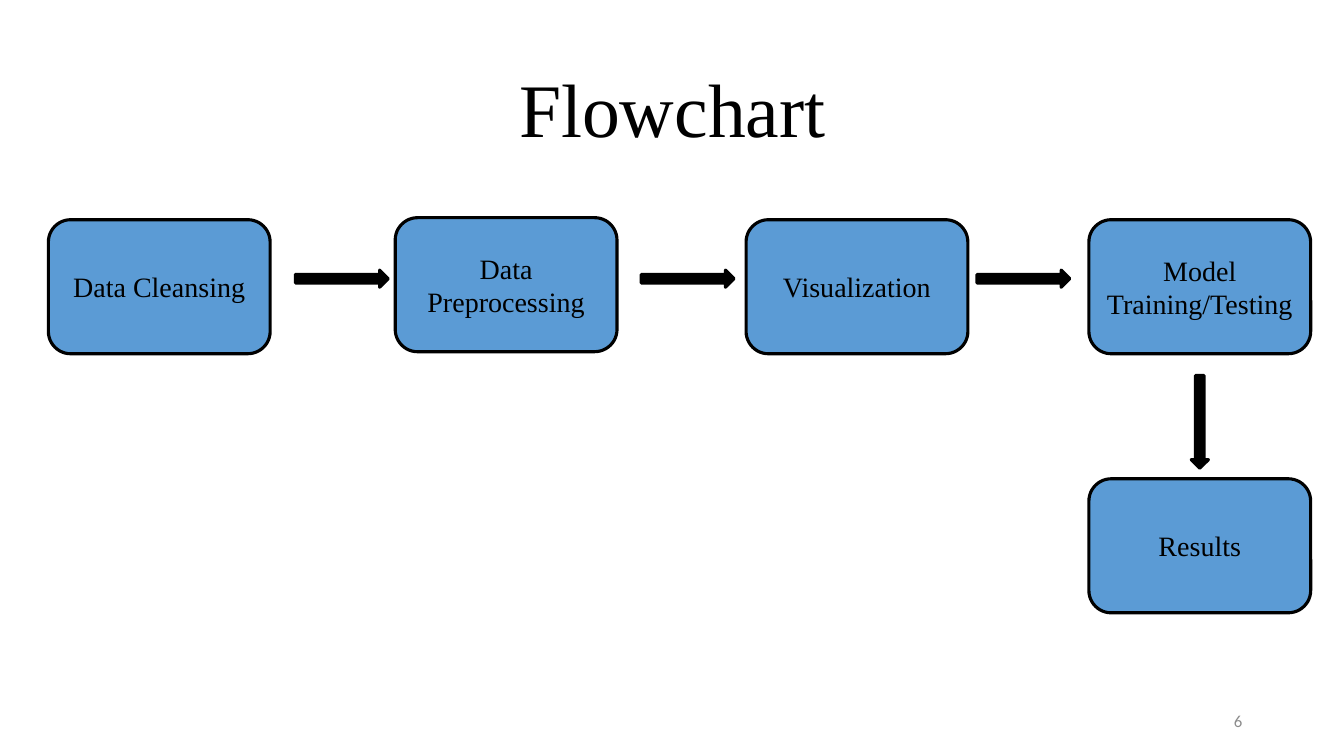
"""Builds the flowchart slide of a data project, from cleansing to results."""
from dataclasses import dataclass

import pptx
import pptx.dml.color
import pptx.enum.shapes
import pptx.enum.text
import pptx.shapes.autoshape
import pptx.slide
import pptx.text.text
import pptx.util

Inches = pptx.util.Inches
Align = pptx.enum.text.PP_ALIGN
Preset = pptx.enum.shapes.MSO_SHAPE

COLORS = {"ink": "000000", "step": "5B9BD5", "page": "8C8C8C"}
SERIF = "Times New Roman"
STEP_WIDTH, STEP_HEIGHT = 2.2, 1.33
ARROW_LENGTH, ARROW_HEIGHT = 0.92, 0.17
ROW_TOP, ARROW_TOP, LAST_LEFT = 2.18, 2.68, 10.8


@dataclass(frozen=True)
class Step:
    label: str
    left: float
    top: float = ROW_TOP


@dataclass(frozen=True)
class Arrow:
    left: float
    top: float = ARROW_TOP
    rotation: float = 0


@dataclass(frozen=True)
class Caption:
    text: str
    left: float
    top: float
    width: float
    height: float
    size: float
    font: str
    color: str
    align: Align
    line_spacing: float = 1.0


STEPS = [
    Step("Data Cleansing", 0.48),
    Step("Data Preprocessing", 3.92, 2.16),
    Step("Visualization", 7.4),
    Step("Model Training/Testing", LAST_LEFT),
    Step("Results", LAST_LEFT, 4.75),
]
ARROWS = [
    Arrow(2.93),
    Arrow(6.36),
    Arrow(9.69),
    Arrow(LAST_LEFT + (STEP_WIDTH - ARROW_LENGTH) / 2, 4.1, 90),
]
CAPTIONS = [
    Caption("Flowchart", 0.92, 0.4, 11.5, 1.45, 54, SERIF, "ink", Align.CENTER, 0.9),
    Caption("6", 9.42, 6.95, 3, 0.4, 12, "Calibri", "page", Align.RIGHT),
]


def rgb(name: str) -> pptx.dml.color.RGBColor:
    """Look up a named colour."""
    return pptx.dml.color.RGBColor.from_string(COLORS[name])


def write(frame: pptx.text.text.TextFrame, text: str, size: float, font: str,
          color: str, align: Align) -> None:
    """Put one formatted, vertically centred paragraph into a frame."""
    frame.text = text
    frame.word_wrap = True
    frame.vertical_anchor = pptx.enum.text.MSO_ANCHOR.MIDDLE
    paragraph = frame.paragraphs[0]
    paragraph.alignment = align
    for run in paragraph.runs:
        run.font.size = pptx.util.Pt(size)
        run.font.name = font
        run.font.color.rgb = rgb(color)


def draw_outlined(slide: pptx.slide.Slide, preset: Preset, left: float, top: float,
                  width: float, height: float, fill: str) -> pptx.shapes.autoshape.Shape:
    """Draw a filled preset shape with the black outline."""
    shape = slide.shapes.add_shape(
        preset, Inches(left), Inches(top), Inches(width), Inches(height))
    shape.shadow.inherit = False
    shape.fill.solid()
    shape.fill.fore_color.rgb = rgb(fill)
    shape.line.color.rgb = rgb("ink")
    shape.line.width = pptx.util.Pt(2.25)
    return shape


def draw_step(slide: pptx.slide.Slide, step: Step) -> None:
    """Draw one labelled step of the flow."""
    box = draw_outlined(slide, Preset.ROUNDED_RECTANGLE, step.left, step.top,
                        STEP_WIDTH, STEP_HEIGHT, "step")
    write(box.text_frame, step.label, 20, SERIF, "ink", Align.CENTER)


def draw_arrow(slide: pptx.slide.Slide, arrow: Arrow) -> None:
    """Draw one block arrow between steps."""
    pointer = draw_outlined(slide, Preset.RIGHT_ARROW, arrow.left, arrow.top,
                            ARROW_LENGTH, ARROW_HEIGHT, "ink")
    pointer.rotation = arrow.rotation


def draw_caption(slide: pptx.slide.Slide, caption: Caption) -> None:
    """Draw free-standing text."""
    frame = slide.shapes.add_textbox(
        Inches(caption.left), Inches(caption.top),
        Inches(caption.width), Inches(caption.height)).text_frame
    write(frame, caption.text, caption.size, caption.font, caption.color, caption.align)
    frame.paragraphs[0].line_spacing = caption.line_spacing


def main() -> None:
    """Build and save the slide."""
    deck = pptx.Presentation()
    deck.slide_width, deck.slide_height = Inches(13.33), Inches(7.5)
    slide = deck.slides.add_slide(deck.slide_layouts[6])
    for caption in CAPTIONS:
        draw_caption(slide, caption)
    for step in STEPS:
        draw_step(slide, step)
    for arrow in ARROWS:
        draw_arrow(slide, arrow)
    deck.save("out.pptx")


if __name__ == "__main__":
    main()
